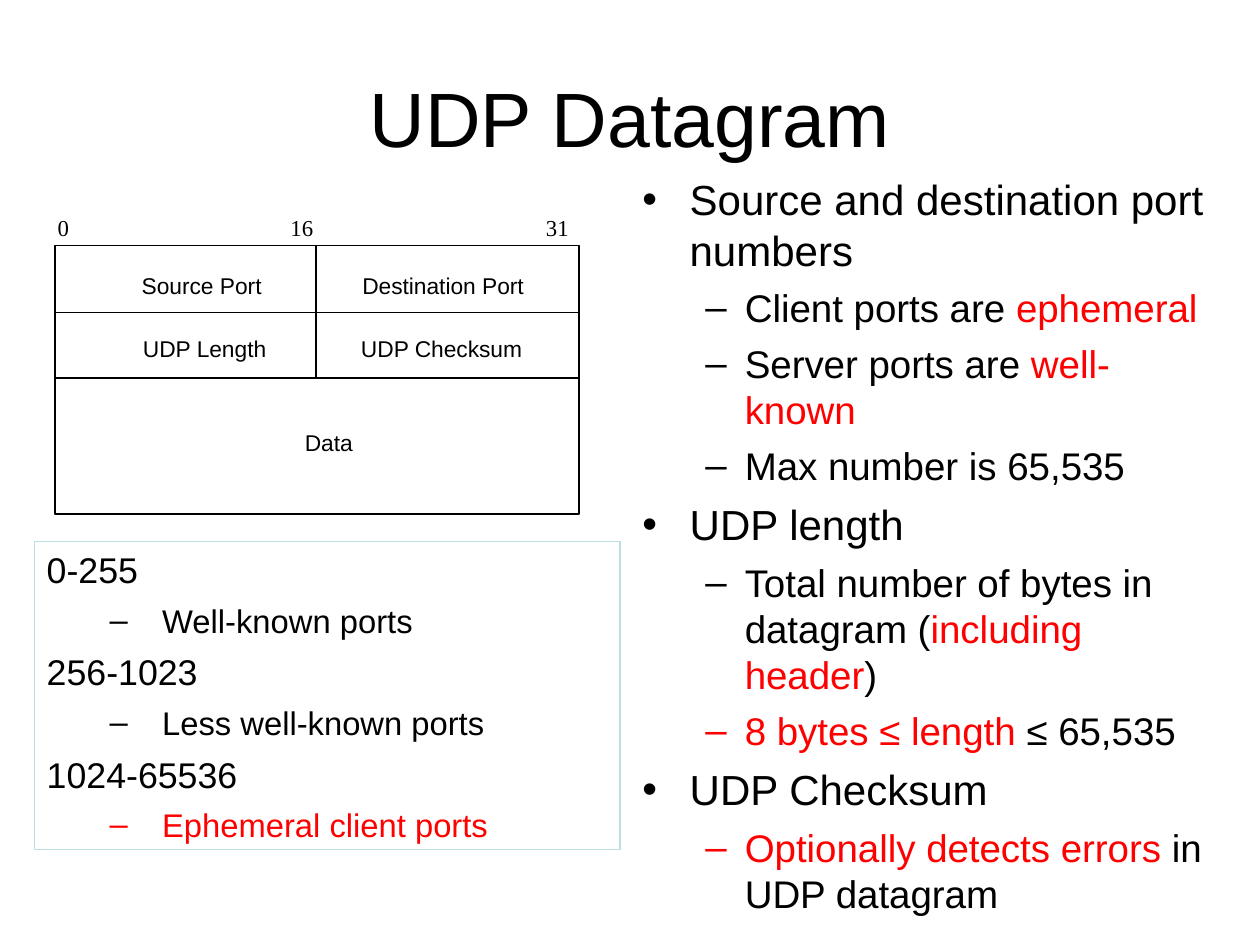
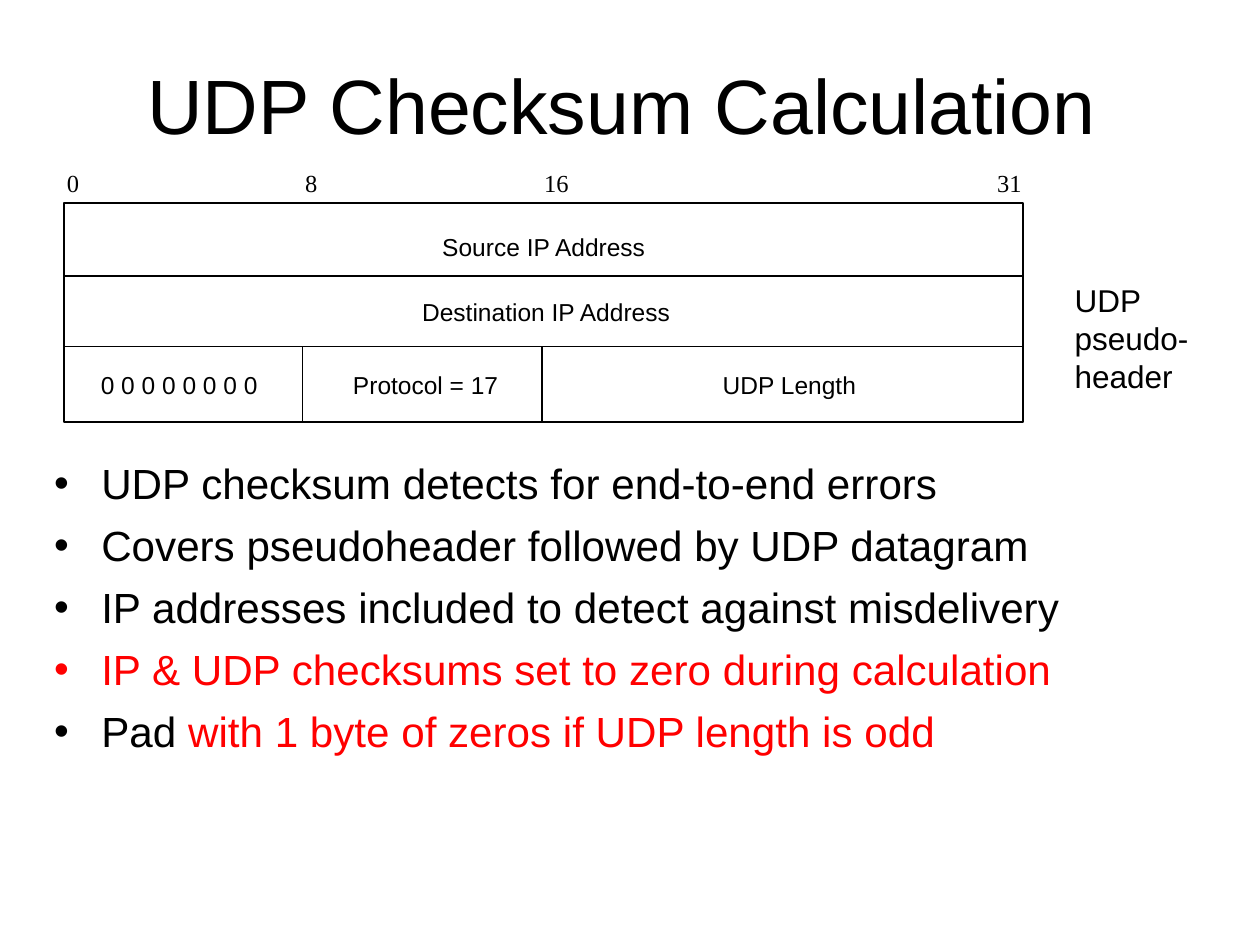
from collections import namedtuple

from lxml import etree
from pptx import Presentation
from pptx.dml.color import RGBColor
from pptx.enum.shapes import MSO_CONNECTOR, MSO_SHAPE
from pptx.enum.text import MSO_ANCHOR, PP_ALIGN
from pptx.oxml.ns import qn
from pptx.util import Pt

RECT = MSO_SHAPE.RECTANGLE
STRAIGHT = MSO_CONNECTOR.STRAIGHT
TOP, MIDDLE = MSO_ANCHOR.TOP, MSO_ANCHOR.MIDDLE
LEFT, CENTER = PP_ALIGN.LEFT, PP_ALIGN.CENTER

BLACK = RGBColor(0x00, 0x00, 0x00)
RED = RGBColor(0xFF, 0x00, 0x00)
PALE_TEAL = RGBColor(0xBB, 0xE0, 0xE3)
SANS, SERIF = "Arial", "Times New Roman"
LINE_HEIGHT = 1.2

Level = namedtuple("Level", "size bullet margin hanging before")

FIELD_LEVELS = [Level(24, "•", 27, 27, 6), Level(22, "–", 58.5, 22.5, 5.5)]
RANGE_LEVELS = [Level(20.4, None, 0, 0, 6), Level(18.7, "–", 66, 30, 5.5)]
CHECKSUM_LEVELS = [Level(24.1, "•", 27, 27, 6.5)]

FIELD_NOTES = [
    (0, [("Source and destination port numbers", BLACK)]),
    (1, [("Client ports are ", BLACK), ("ephemeral", RED)]),
    (1, [("Server ports are ", BLACK), ("well-known", RED)]),
    (1, [("Max number is 65,535", BLACK)]),
    (0, [("UDP length", BLACK)]),
    (1, [("Total number of bytes in datagram (", BLACK),
         ("including header", RED), (")", BLACK)]),
    (1, [("8 bytes ≤ length", RED), (" ≤ 65,535", BLACK)]),
    (0, [("UDP Checksum", BLACK)]),
    (1, [("Optionally detects errors ", RED), ("in UDP datagram", BLACK)]),
]
PORT_RANGES = [
    (0, [("0-255", BLACK)]),
    (1, [("Well-known ports", BLACK)]),
    (0, [("256-1023", BLACK)]),
    (1, [("Less well-known ports", BLACK)]),
    (0, [("1024-65536", BLACK)]),
    (1, [("Ephemeral client ports", RED)]),
]
CHECKSUM_NOTES = [
    (0, [("UDP checksum detects for end-to-end errors", BLACK)]),
    (0, [("Covers pseudoheader followed by UDP datagram", BLACK)]),
    (0, [("IP addresses included to detect against misdelivery", BLACK)]),
    (0, [("IP & UDP checksums set to zero during calculation", RED)]),
    (0, [("Pad ", BLACK), ("with 1 byte of zeros if UDP length is odd", RED)]),
]

DATAGRAM_BITS = [("0", 33), ("16", 166), ("31", 312)]
DATAGRAM_ROWS = [
    (155.5, [("Source Port", 81), ("Destination Port", 207)]),
    (191.5, [("UDP Length", 81.7), ("UDP Checksum", 206.3)]),
    (244.8, [("Data", 174.2)]),
]
PSEUDO_BITS = [("0", 38.2), ("8", 174.4), ("16", 311), ("31", 569.8)]
PSEUDO_ROWS = [
    (132.5, [("Source IP Address", 252.7)]),
    (169.9, [("Destination IP Address", 241.2)]),
    (211.7, [("0 0 0 0 0 0 0 0", 57.6), ("Protocol = 17", 201.7),
             ("UDP Length", 413)]),
]


def add_run(p, text, size, color=BLACK, font=SANS):
    """Append one formatted run to a paragraph."""
    r = p.add_run()
    r.text = text
    r.font.name = font
    r.font.size = Pt(size)
    r.font.color.rgb = color


def set_frame(tf, anchor=TOP, inset_x=7.2, inset_y=3.6):
    """Set wrapping, anchor and insets of a text frame."""
    tf.word_wrap = True
    tf.vertical_anchor = anchor
    tf.margin_left = tf.margin_right = Pt(inset_x)
    tf.margin_top = tf.margin_bottom = Pt(inset_y)


def add_text(s, box, text, size, font=SANS, align=LEFT, **frame):
    """Add a text box holding a single run."""
    sp = s.shapes.add_textbox(*map(Pt, box))
    set_frame(sp.text_frame, **frame)
    p = sp.text_frame.paragraphs[0]
    p.alignment = align
    add_run(p, text, size, font=font)
    return p


def add_title(s, box, text):
    """Add a centred slide title."""
    add_text(s, box, text, 44, align=CENTER, anchor=MIDDLE)


def add_rect(s, box, color, width):
    """Add an unfilled rectangle with a thin outline."""
    sp = s.shapes.add_shape(RECT, *map(Pt, box))
    sp.shadow.inherit = False
    sp.fill.background()
    sp.line.color.rgb = color
    sp.line.width = Pt(width)
    return sp


def add_rule(s, x1, y1, x2, y2, width):
    """Add a straight black line."""
    line = s.shapes.add_connector(STRAIGHT, Pt(x1), Pt(y1), Pt(x2), Pt(y2))
    line.line.color.rgb = BLACK
    line.line.width = Pt(width)
    etree.SubElement(line._element.spPr, qn("a:effectLst"))


def set_bullet(p, level, color):
    """Give a paragraph its indents and bullet."""
    pPr = p._p.get_or_add_pPr()
    pPr.set("marL", str(Pt(level.margin)))
    pPr.set("indent", str(Pt(-level.hanging)))
    if not level.bullet:
        etree.SubElement(pPr, qn("a:buNone"))
        return
    clr = etree.SubElement(pPr, qn("a:buClr"))
    etree.SubElement(clr, qn("a:srgbClr"), val=str(color))
    etree.SubElement(pPr, qn("a:buFont"), typeface=SANS)
    etree.SubElement(pPr, qn("a:buChar"), char=level.bullet)


def fill_outline(sp, items, levels):
    """Write a list of levelled paragraphs into a shape."""
    tf = sp.text_frame
    set_frame(tf)
    for i, (depth, runs) in enumerate(items):
        level = levels[depth]
        p = tf.add_paragraph() if i else tf.paragraphs[0]
        set_bullet(p, level, runs[0][1])
        p.level = depth
        p.alignment = LEFT
        p.line_spacing = Pt(level.size * LINE_HEIGHT)
        p.space_before = Pt(level.before if i else 0)
        for text, color in runs:
            add_run(p, text, level.size, color)


def add_labels(s, top, labels, size, font=SANS):
    """Place a row of small labels, each at its own left edge."""
    for text, left in labels:
        box = (left, top, len(text) * size * 0.75, size * LINE_HEIGHT)
        add_text(s, box, text, size, font, inset_x=0, inset_y=0)


def add_header_diagram(s, box, row_lines, dividers, bits, bits_top, rows,
                       size, width):
    """Draw a packet layout with its bit scale and field names."""
    left, _, box_width, _ = box
    add_rect(s, box, BLACK, width)
    for y in row_lines:
        add_rule(s, left, y, left + box_width, y, width)
    for x, y1, y2 in dividers:
        add_rule(s, x, y1, x, y2, width)
    add_labels(s, bits_top, bits, size, SERIF)
    for top, labels in rows:
        add_labels(s, top, labels, size)


def build_datagram(s):
    """Build the slide on the datagram fields."""
    add_title(s, (36, 21.6, 648, 90), "UDP Datagram")
    notes = s.shapes.add_textbox(Pt(360), Pt(95.8), Pt(342), Pt(444))
    fill_outline(notes, FIELD_NOTES, FIELD_LEVELS)
    add_header_diagram(s, (31.5, 140.4, 299.5, 153.4), [178.6, 216],
                       [(180.7, 140.4, 216)], DATAGRAM_BITS, 122.4,
                       DATAGRAM_ROWS, 13, 0.88)
    ranges = add_rect(s, (19.6, 309.6, 334.8, 175.7), PALE_TEAL, 0.75)
    fill_outline(ranges, PORT_RANGES, RANGE_LEVELS)


def build_checksum(s):
    """Build the slide on the checksum calculation."""
    add_title(s, (49, 25.9, 612.7, 67), "UDP Checksum Calculation")
    notes = s.shapes.add_textbox(Pt(23.8), Pt(257.8), Pt(612), Pt(183))
    fill_outline(notes, CHECKSUM_NOTES, CHECKSUM_LEVELS)
    add_header_diagram(s, (36.7, 116, 547.9, 125.3), [157.6, 198],
                       [(x, 198, 241.3) for x in (172.9, 309.6)],
                       PSEUDO_BITS, 95.8, PSEUDO_ROWS, 14, 1)
    p = add_text(s, (607, 157, 113, 72), "UDP pseudo-header", 18)
    p.line_spacing = Pt(18 * LINE_HEIGHT)


def main():
    """Build both slides and save the presentation."""
    prs = Presentation()
    prs.slide_width, prs.slide_height = Pt(720), Pt(540)
    for build in (build_datagram, build_checksum):
        build(prs.slides.add_slide(prs.slide_layouts[6]))
    prs.save("out.pptx")


if __name__ == "__main__":
    main()
